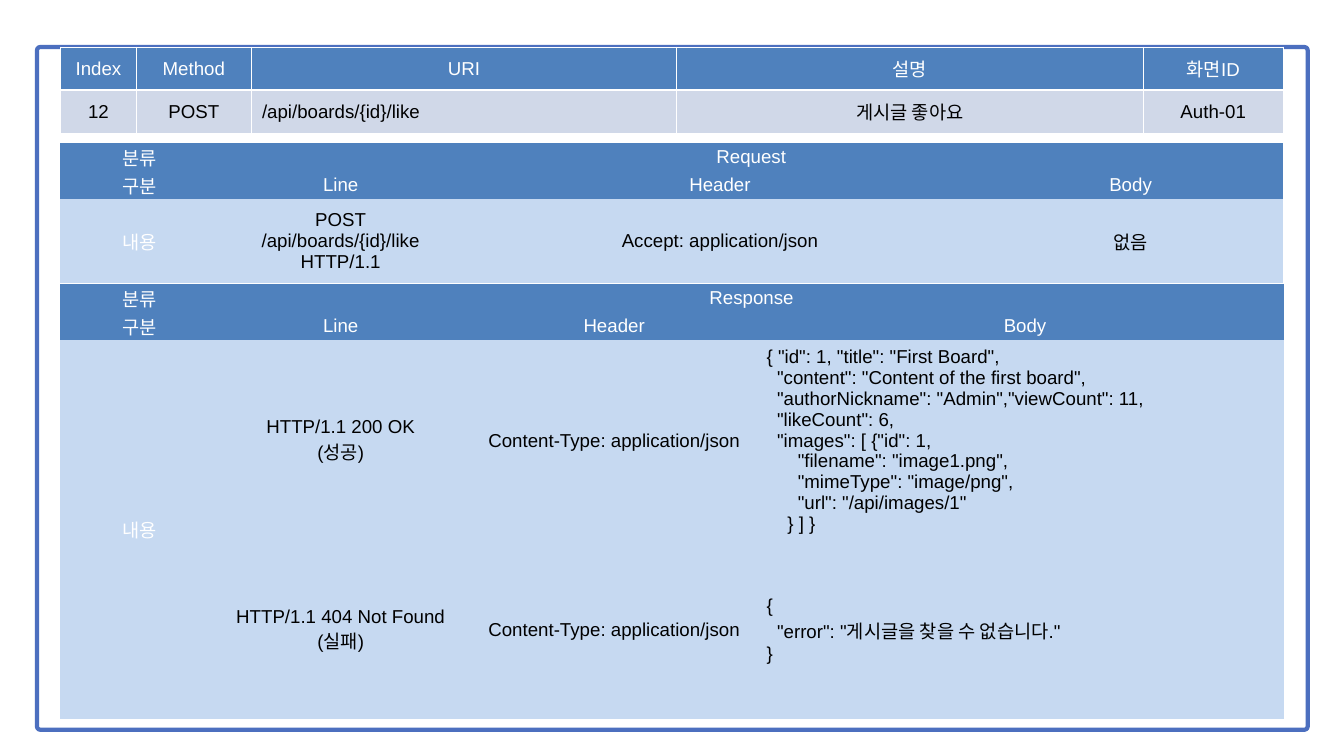
from dataclasses import dataclass

from lxml import etree
from pptx import Presentation
from pptx.dml.color import RGBColor
from pptx.enum import shapes, text
from pptx.oxml import ns
from pptx.util import Inches, Pt

COLORS = {
    "white": "FFFFFF",
    "black": "000000",
    "frame": "4C6FBF",
    "header": "4F81BD",
    "index_row": "D0D8E8",
    "content": "C6D9F1",
}
FONT, FONT_SIZE = "Arial", 20
TABLE_LEFT = 0.9
PLAIN_STYLE = "{2D5ABB26-0587-4C30-8999-92F81FD0307C}"

POST_LINE = "POST\n/api/boards/{id}/like HTTP/1.1"
JSON_TYPE = "Content-Type: application/json"
SUCCESS_BODY = """{ "id": 1, "title": "First Board",
  "content": "Content of the first board",
  "authorNickname": "Admin","viewCount": 11,
  "likeCount": 6,
  "images": [ {"id": 1,
      "filename": "image1.png",
      "mimeType": "image/png",
      "url": "/api/images/1"
    } ] }"""
FAILURE_BODY = """{
  "error": "게시글을 찾을 수 없습니다."
}"""


@dataclass(frozen=True)
class Grid:
    """A table with its place, texts and look."""
    top: float
    columns: tuple[float, ...]
    rows: tuple[float, ...]
    texts: list[list[str]]
    header_rows: int
    body_fill: str
    margins: tuple[float, float, float, float] = (0.01, 0.01, 0.01, 0)
    merges: tuple[tuple[int, int, int, int], ...] = ()
    bordered: bool = False
    white_label: bool = True


def message_grid(top: float, title: str, columns: tuple[float, ...],
                 body_rows: tuple[float, ...], contents: list[list[str]],
                 merges: tuple[tuple[int, int, int, int], ...] = ()) -> Grid:
    """Describe a request or response table with its two header rows."""
    headings = [["분류", title, "", ""], ["구분", "Line", "Header", "Body"]]
    return Grid(top, columns, (0.35, 0.35, *body_rows), headings + contents,
                2, "content", merges=((0, 1, 0, 3), *merges))


GRIDS = [
    message_grid(2.13, "Request", (2.36, 3.62, 7.67, 4.55), (1.25,),
                 [["내용", POST_LINE, "Accept: application/json", "없음"]]),
    message_grid(4.23, "Response", (2.36, 3.62, 4.52, 7.71), (2.99, 2.65),
                 [["내용", "HTTP/1.1 200 OK\n(성공)", JSON_TYPE, SUCCESS_BODY],
                  ["", "HTTP/1.1 404 Not Found\n(실패)", JSON_TYPE, FAILURE_BODY]],
                 merges=((2, 0, 3, 0),)),
    Grid(0.7, (1.13, 1.71, 6.33, 6.94, 2.09), (0.64, 0.64),
         [["Index", "Method", "URI", "설명", "화면ID"],
          ["12", "POST", "/api/boards/{id}/like", "게시글 좋아요", "Auth-01"]],
         1, "index_row", margins=(0.16, 0.08, 0.16, 0.08),
         bordered=True, white_label=False),
]


def color(name: str) -> RGBColor:
    """Look up a named colour."""
    return RGBColor.from_string(COLORS[name])


def add_borders(cell, bottom: float) -> None:
    """Draw white lines on the four sides of a cell."""
    properties = cell._tc.get_or_add_tcPr()
    for side, width in (("L", 1), ("R", 1), ("T", 1), ("B", bottom)):
        line = etree.SubElement(properties, ns.qn(f"a:ln{side}"), w=str(Pt(width)))
        fill = etree.SubElement(line, ns.qn("a:solidFill"))
        etree.SubElement(fill, ns.qn("a:srgbClr"), val=COLORS["white"])


def write_cell(cell, content: str, ink: str) -> None:
    """Write the text of a cell, code and addresses to the left."""
    cell.text_frame.text = content
    cell.vertical_anchor = text.MSO_ANCHOR.MIDDLE
    align = text.PP_ALIGN.LEFT if content.startswith(("{", "/")) else text.PP_ALIGN.CENTER
    for paragraph in cell.text_frame.paragraphs:
        paragraph.alignment = align
        paragraph.font.size = Pt(FONT_SIZE)
        for span in paragraph.runs:
            span.font.name = FONT
            span.font.size = Pt(FONT_SIZE)
            span.font.color.rgb = color(ink)


def add_grid(page, grid: Grid) -> None:
    """Add one table to the page."""
    table = page.shapes.add_table(
        len(grid.rows), len(grid.columns), Inches(TABLE_LEFT), Inches(grid.top),
        Inches(sum(grid.columns)), Inches(sum(grid.rows))).table
    table._tbl.tblPr.find(ns.qn("a:tableStyleId")).text = PLAIN_STYLE
    table.first_row = table.horz_banding = False
    for column, width in zip(table.columns, grid.columns):
        column.width = Inches(width)
    for row, height in zip(table.rows, grid.rows):
        row.height = Inches(height)
    for first_row, first_column, last_row, last_column in grid.merges:
        table.cell(first_row, first_column).merge(table.cell(last_row, last_column))
    for i, texts in enumerate(grid.texts):
        heading = i < grid.header_rows
        for j, content in enumerate(texts):
            cell = table.cell(i, j)
            (cell.margin_left, cell.margin_top, cell.margin_right,
             cell.margin_bottom) = map(Inches, grid.margins)
            if grid.bordered:
                add_borders(cell, 3 if heading else 1)
            cell.fill.solid()
            cell.fill.fore_color.rgb = color("header" if heading else grid.body_fill)
            white = heading or (grid.white_label and j == 0)
            write_cell(cell, content, "white" if white else "black")


def add_frame(page) -> None:
    """Add the rounded frame around the tables."""
    frame = page.shapes.add_shape(
        shapes.MSO_SHAPE.ROUNDED_RECTANGLE,
        Inches(0.55), Inches(0.7), Inches(18.91), Inches(10.16))
    frame.adjustments[0] = 0.05 / 10.16
    frame.shadow.inherit = False
    frame.fill.solid()
    frame.fill.fore_color.rgb = color("white")
    frame.line.color.rgb = color("frame")
    frame.line.width = Pt(4.5)


def main() -> None:
    """Build the interface description slide."""
    deck = Presentation()
    deck.slide_width, deck.slide_height = Inches(20), Inches(11.25)
    page = deck.slides.add_slide(deck.slide_layouts[6])
    add_frame(page)
    for grid in GRIDS:
        add_grid(page, grid)
    deck.save("out.pptx")


if __name__ == "__main__":
    main()
